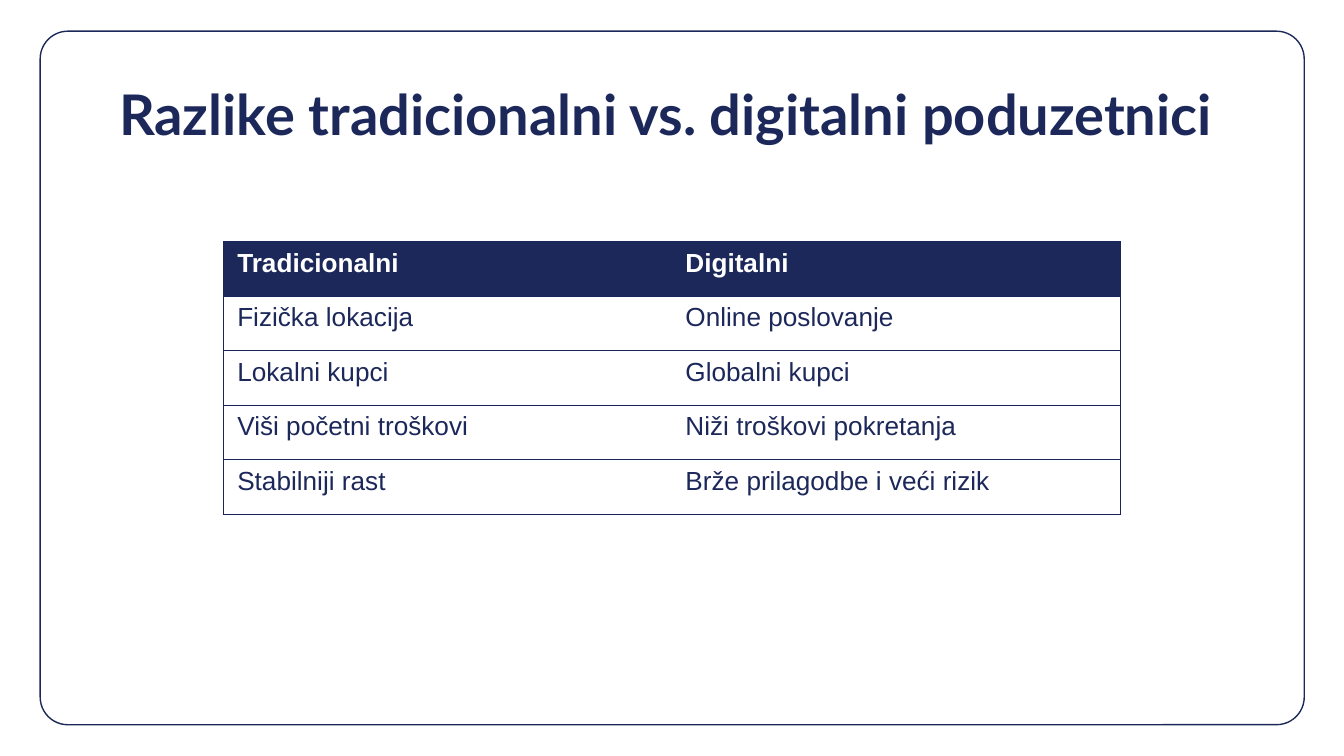
from dataclasses import dataclass

from lxml import etree
from pptx import Presentation
from pptx.dml.color import RGBColor
from pptx.enum.shapes import MSO_SHAPE
from pptx.enum.text import MSO_ANCHOR
from pptx.oxml.ns import qn
from pptx.util import Cm, Pt

ROUNDED_RECTANGLE = MSO_SHAPE.ROUNDED_RECTANGLE
TOP = MSO_ANCHOR.TOP


@dataclass(frozen=True)
class Theme:
    navy: RGBColor = RGBColor(0x1C, 0x28, 0x5A)
    border: RGBColor = RGBColor(0x1A, 0x26, 0x5A)
    white: RGBColor = RGBColor(0xFF, 0xFF, 0xFF)
    title_font: str = "Lato"
    body_font: str = "Arial"
    title_size: Pt = Pt(30)
    body_size: Pt = Pt(14)
    line_width: Pt = Pt(0.75)


theme = Theme()


def style_run(run, font_name, size, color, bold):
    run.font.name = font_name
    run.font.size = size
    run.font.color.rgb = color
    run.font.bold = bold


def add_border(cell, side, visible):
    """Draw or clear one side (L, R, T or B); call before filling the cell."""
    properties = cell._tc.get_or_add_tcPr()
    line = etree.SubElement(properties, qn(f"a:ln{side}"), w=str(theme.line_width))
    if visible:
        fill = etree.SubElement(line, qn("a:solidFill"))
        etree.SubElement(fill, qn("a:srgbClr"), val=str(theme.border))
    else:
        etree.SubElement(line, qn("a:noFill"))


presentation = Presentation()
presentation.slide_width = Cm(25.4)
presentation.slide_height = Cm(14.29)
slide = presentation.slides.add_slide(presentation.slide_layouts[6])

# Frame
frame = slide.shapes.add_shape(ROUNDED_RECTANGLE, Cm(0.76), Cm(0.59), Cm(23.89), Cm(13.11))
frame.adjustments[0] = 0.04
frame.shadow.inherit = False
frame.fill.background()
frame.line.color.rgb = theme.navy
frame.line.width = theme.line_width

# Title
title = slide.shapes.add_textbox(Cm(2), Cm(1.25), Cm(21.4), Cm(1.6))
text_frame = title.text_frame
text_frame.word_wrap = True
text_frame.vertical_anchor = TOP
text_frame.margin_left = text_frame.margin_right = Cm(0.25)
text_frame.margin_top = text_frame.margin_bottom = Cm(0.25)
text_frame.text = "Razlike tradicionalni vs. digitalni poduzetnici"
style_run(text_frame.paragraphs[0].runs[0], theme.title_font, theme.title_size, theme.navy, True)

# Comparison table
rows = [
    ("Tradicionalni", "Digitalni"),
    ("Fizička lokacija", "Online poslovanje"),
    ("Lokalni kupci", "Globalni kupci"),
    ("Viši početni troškovi", "Niži troškovi pokretanja"),
    ("Stabilniji rast", "Brže prilagodbe i veći rizik"),
]
row_height = Cm(1.03)
table = slide.shapes.add_table(
    len(rows), 2, Cm(4.23), Cm(4.57), Cm(16.94), row_height * len(rows)
).table
table.horz_banding = False

for row_index, row in enumerate(rows):
    table.rows[row_index].height = row_height
    is_header = row_index == 0
    for column_index, text in enumerate(row):
        cell = table.cell(row_index, column_index)
        cell.text = text
        add_border(cell, "L", column_index == 0)
        add_border(cell, "R", column_index == 1)
        add_border(cell, "T", True)
        add_border(cell, "B", True)
        cell.fill.solid()
        cell.fill.fore_color.rgb = theme.navy if is_header else theme.white
        text_color = theme.white if is_header else theme.navy
        run = cell.text_frame.paragraphs[0].runs[0]
        style_run(run, theme.body_font, theme.body_size, text_color, is_header)

presentation.save("out.pptx")
